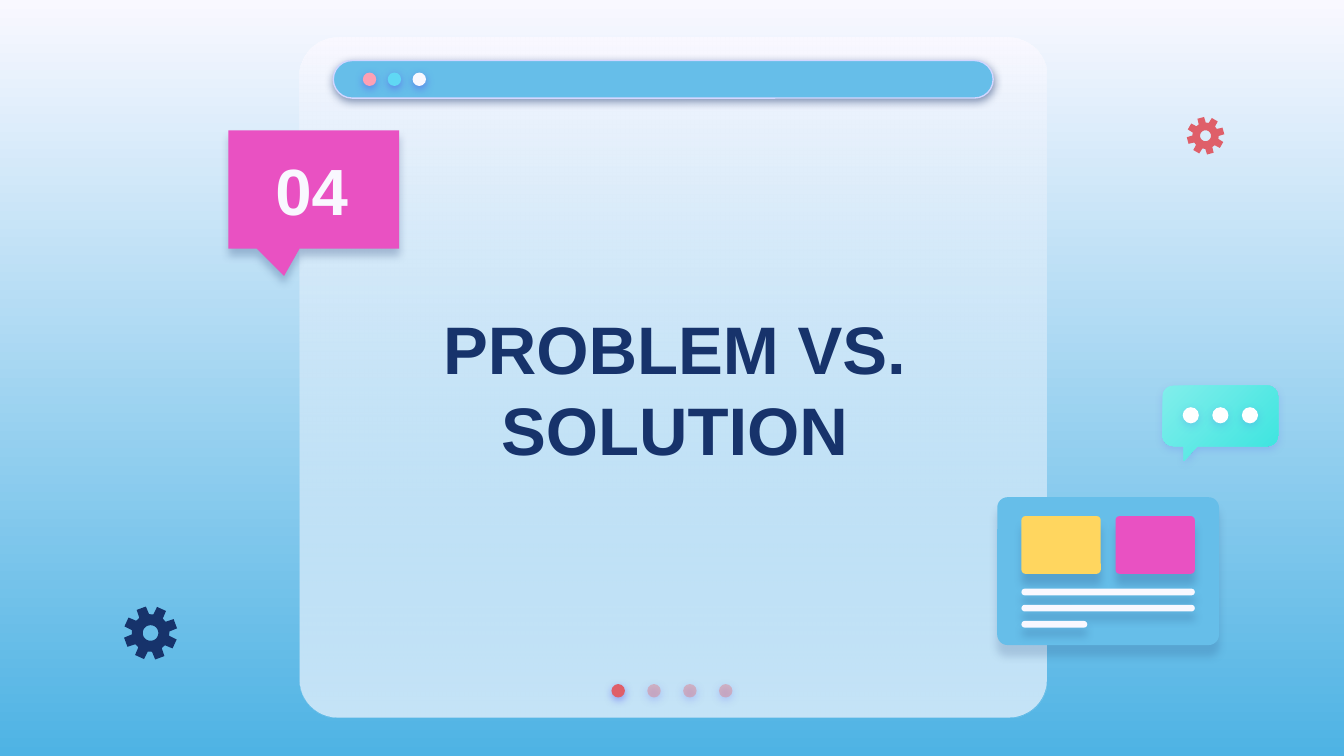
import math
from dataclasses import dataclass

import pptx
import pptx.dml.color
import pptx.enum.shapes
import pptx.enum.text
import pptx.oxml
import pptx.oxml.ns
import pptx.util
from pptx.util import Inches

SHAPE = pptx.enum.shapes.MSO_SHAPE
ANCHOR = pptx.enum.text.MSO_ANCHOR


@dataclass(frozen=True)
class Theme:
    paper: str = "F9F8FF"
    white: str = "FFFFFF"
    sky: str = "66BEE9"
    deep_sky: str = "4EB3E4"
    navy: str = "17336B"
    violet: str = "5352EE"
    outline: str = "D2D6FF"
    pink: str = "E951C2"
    yellow: str = "FFD65F"
    red: str = "DF5F69"
    pale_red: str = "E27B83"
    rose: str = "FDA0B4"
    aqua: str = "60D8F4"
    mint: str = "81EEEB"
    teal: str = "3AE4DF"
    font: str = "Arial"
    title_size: int = 36
    number_size: int = 35


THEME = Theme()

# Shadows: colour, opacity %, blur pt, distance pt (always straight down)
DOT_SHADOW = (THEME.violet, 50, 4.5, 1.5)
HEADER_SHADOW = (THEME.navy, 50, 4.5, 1.5)
NUMBER_SHADOW = (THEME.navy, 25, 4.5, 3.8)
CARD_SHADOW = (THEME.navy, 17, 4.5, 6)
TILE_SHADOW = (THEME.navy, 20, 4.5, 6)
LINE_SHADOW = (THEME.navy, 21, 4.5, 4.5)
CHAT_SHADOW = (THEME.violet, 18, 4.5, 1.5)


def rgb(color):
    return pptx.dml.color.RGBColor.from_string(color)


def set_gradient(fill, colors, angle):
    fill.gradient()
    fill.gradient_angle = angle
    for stop, color in zip(fill.gradient_stops, colors):
        stop.color.rgb = rgb(color)


def set_opacity(shape, percent):
    """Make the last fill colour of the shape see-through."""
    color = shape._element.spPr.findall(".//" + pptx.oxml.ns.qn("a:srgbClr"))[-1]
    color.append(pptx.oxml.parse_xml(
        f'<a:alpha {pptx.oxml.ns.nsdecls("a")} val="{percent * 1000}"/>'))


def set_shadow(shape, shadow):
    shape.shadow.inherit = False
    if shadow:
        color, opacity, blur, distance = shadow
        effects = shape._element.spPr.find(pptx.oxml.ns.qn("a:effectLst"))
        effects.append(pptx.oxml.parse_xml(
            f'<a:outerShdw {pptx.oxml.ns.nsdecls("a")} blurRad="{pptx.util.Pt(blur)}" '
            f'dist="{pptx.util.Pt(distance)}" dir="5400000" algn="ctr" rotWithShape="0">'
            f'<a:srgbClr val="{color}"><a:alpha val="{opacity * 1000}"/></a:srgbClr>'
            f'</a:outerShdw>'))


def paint(shape, color, shadow=None, opacity=None, angle=270):
    """Fill with one colour, or with a gradient when given a pair."""
    if isinstance(color, tuple):
        set_gradient(shape.fill, color, angle)
    else:
        shape.fill.solid()
        shape.fill.fore_color.rgb = rgb(color)
    if opacity:
        set_opacity(shape, opacity)
    shape.line.fill.background()
    set_shadow(shape, shadow)
    return shape


def add_preset(shapes, kind, box, color, adjustments=(), **look):
    shape = shapes.add_shape(kind, *map(Inches, box))
    for index, value in enumerate(adjustments):
        shape.adjustments[index] = value
    return paint(shape, color, **look)


def add_outline(shapes, contours, color, **look):
    """Draw closed contours as one shape; inner contours become holes."""
    contours = [[(Inches(x), Inches(y)) for x, y in points] for points in contours]
    builder = shapes.build_freeform(*contours[0][0])
    builder.add_line_segments(contours[0][1:], close=True)
    for points in contours[1:]:
        builder.move_to(*points[0])
        builder.add_line_segments(points[1:], close=True)
    return paint(builder.convert_to_shape(), color, **look)


def polar(center, radius, degrees):
    angle = math.radians(degrees)
    return center[0] + radius * math.cos(angle), center[1] + radius * math.sin(angle)


def add_gear(shapes, center, radius, first_tooth, color, teeth=8):
    profile = ((-16, 0.7), (-10.5, 1), (10.5, 1), (16, 0.7))
    rim = [polar(center, radius * reach, first_tooth + tooth * 360 / teeth + turn)
           for tooth in range(teeth) for turn, reach in profile]
    hole = [polar(center, radius * 0.29, step * 10) for step in range(36)]
    add_outline(shapes, [rim, hole], color)


def add_dots(shapes, left, top, size, step, colors, **look):
    for i, color in enumerate(colors):
        add_preset(shapes, SHAPE.OVAL, (left + i * step, top, size, size), color, **look)


def write(shape, text, size, color, anchor):
    frame = shape.text_frame
    frame.text = text
    margins = {f"margin_{side}": Inches(0.1) for side in ("left", "top", "right", "bottom")}
    frame_format = {"word_wrap": True, "vertical_anchor": anchor,
                    "auto_size": pptx.enum.text.MSO_AUTO_SIZE.NONE, **margins}
    font_format = {"name": THEME.font, "size": pptx.util.Pt(size), "bold": True}
    paragraph = frame.paragraphs[0]
    paragraph.alignment = pptx.enum.text.PP_ALIGN.CENTER
    font = paragraph.runs[0].font
    for target, values in ((frame, frame_format), (font, font_format)):
        for name, value in values.items():
            setattr(target, name, value)
    font.color.rgb = rgb(color)


def add_window(shapes):
    # Panel: an opaque sheet under a fading tint
    panel = (2.23, 0.28, 5.56, 5.06)
    add_preset(shapes, SHAPE.ROUNDED_RECTANGLE, panel, THEME.paper, (0.056,))
    add_preset(shapes, SHAPE.ROUNDED_RECTANGLE, panel, (THEME.paper, THEME.sky),
               (0.056,), opacity=35)
    # Page dots, the first one active
    pager_left, pager_step = 4.55, 0.8 / 3
    add_dots(shapes, pager_left, 5.09, 0.1, pager_step, [THEME.red], shadow=DOT_SHADOW)
    add_dots(shapes, pager_left + pager_step, 5.09, 0.1, pager_step,
             [THEME.pale_red] * 3, shadow=DOT_SHADOW, opacity=44)
    # Header bar with its buttons
    header = add_preset(shapes, SHAPE.ROUNDED_RECTANGLE, (2.48, 0.45, 4.91, 0.28),
                        THEME.sky, (0.5,), shadow=HEADER_SHADOW)
    header.line.color.rgb = rgb(THEME.outline)
    header.line.width = pptx.util.Pt(0.75)
    add_dots(shapes, 2.7, 0.54, 0.1, 0.185,
             (THEME.rose, THEME.aqua, THEME.paper), shadow=DOT_SHADOW)


def add_page_card(shapes):
    add_preset(shapes, SHAPE.ROUNDED_RECTANGLE, (7.42, 3.7, 1.65, 1.1), THEME.sky,
               (0.07,), shadow=CARD_SHADOW)
    for left, color in ((7.6, THEME.yellow), (8.3, THEME.pink)):
        add_preset(shapes, SHAPE.ROUNDED_RECTANGLE, (left, 3.84, 0.59, 0.43), color,
                   (0.07,), shadow=TILE_SHADOW)
    for row, width in enumerate((1.29, 1.29, 0.49)):
        add_preset(shapes, SHAPE.ROUNDED_RECTANGLE, (7.6, 4.38 + row * 0.12, width, 0.05),
                   THEME.paper, (0.5,), shadow=LINE_SHADOW)


def add_chat_bubble(shapes):
    left, top, right, bottom, radius = 8.65, 2.87, 9.51, 3.32, 0.08
    corners = ((right - radius, top + radius, -90), (right - radius, bottom - radius, 0),
               (left + radius, bottom - radius, 90), (left + radius, top + radius, 180))
    arcs = [[polar((x, y), radius, start + turn) for turn in range(0, 91, 15)]
            for x, y, start in corners]
    tail = [(8.91, bottom), (8.81, 3.43), (8.81, bottom)]
    add_outline(shapes, [arcs[0] + arcs[1] + tail + arcs[2] + arcs[3]],
                (THEME.mint, THEME.teal), shadow=CHAT_SHADOW, angle=315)
    add_dots(shapes, 8.8, 3.03, 0.12, 0.22, [THEME.white] * 3, shadow=CHAT_SHADOW)


def main():
    deck = pptx.Presentation()
    deck.slide_width = Inches(10)
    deck.slide_height = deck.slide_width * 9 // 16
    slide = deck.slides.add_slide(deck.slide_layouts[5])
    shapes = slide.shapes
    set_gradient(slide.background.fill, (THEME.paper, THEME.deep_sky), 270)

    # Browser window and section number flag
    add_window(shapes.add_group_shape().shapes)
    add_preset(shapes, SHAPE.ROUNDED_RECTANGULAR_CALLOUT, (1.7, 0.97, 1.27, 0.88),
               THEME.pink, (-0.174, 0.731, 0), shadow=NUMBER_SHADOW)

    # Section title, brought in front of the window
    title = shapes.title
    title_box = dict(zip(("left", "top", "width", "height"),
                         map(Inches, (2.72, 1.98, 4.6, 1.82))))
    for name, value in title_box.items():
        setattr(title, name, value)
    write(title, "PROBLEM VS. SOLUTION", THEME.title_size, THEME.navy, ANCHOR.MIDDLE)
    shapes._spTree.append(title._element)

    # Decorations
    add_page_card(shapes.add_group_shape().shapes)
    add_chat_bubble(shapes.add_group_shape().shapes)
    gears = shapes.add_group_shape().shapes
    add_gear(gears, (1.12, 4.71), 0.2, -110.5, THEME.navy)
    add_gear(gears, (8.97, 1.01), 0.14, -105, THEME.red)

    # Section number
    number = shapes.add_textbox(*map(Inches, (1.79, 1.02, 1.06, 0.78)))
    write(number, "04", THEME.number_size, THEME.paper, ANCHOR.BOTTOM)
    deck.save("out.pptx")


if __name__ == "__main__":
    main()
